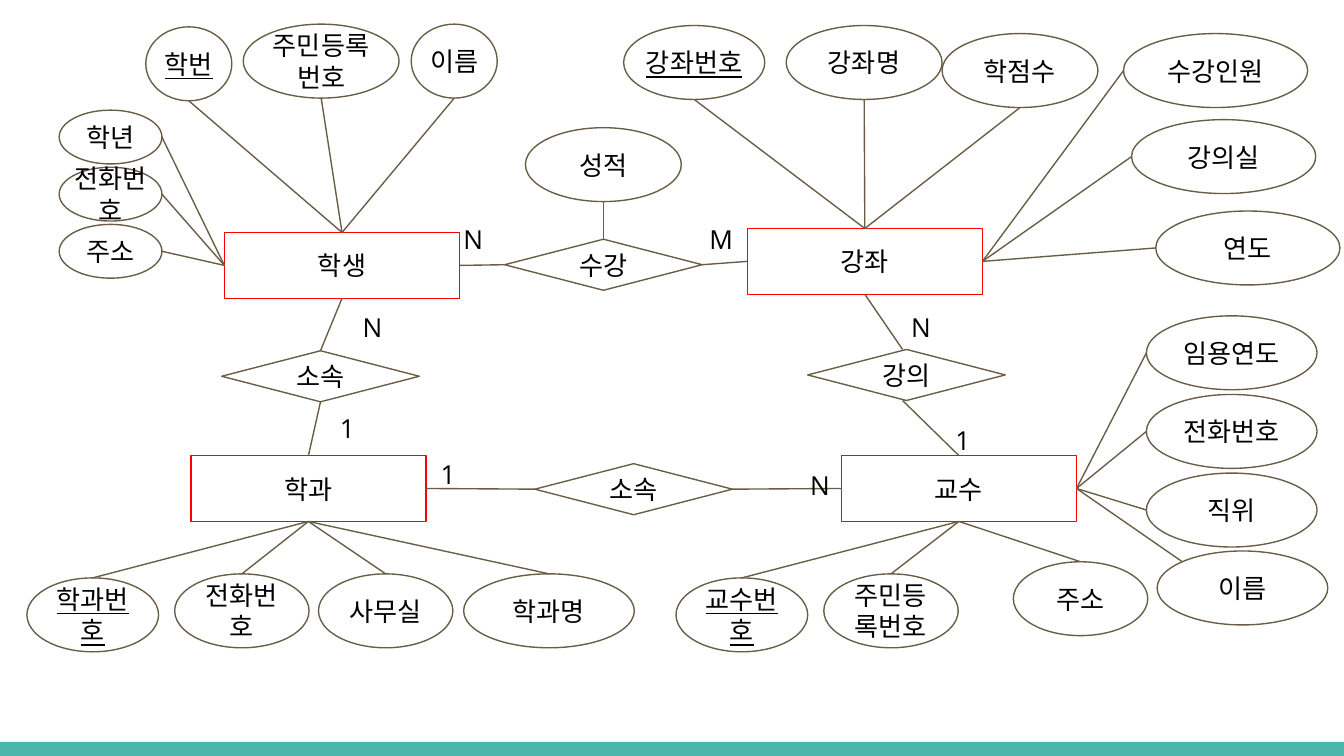
from pptx import Presentation
from pptx import util as u
from pptx.dml.color import RGBColor
from pptx.enum import shapes, text
from pptx.oxml.ns import qn
from lxml import etree

COLS, ROWS = 100, 56.25
SITES = {"top": (.5, 0), "left": (0, .5), "bottom": (.5, 1), "right": (1, .5),
         "corner": (.15, .15), "upper": (.48, 0), "lower": (.48, 1)}
KEYS = {"학번", "강좌번호", "교수번호", "학과번호"}


def color(hex_string):
    return RGBColor.from_string(hex_string)


class Diagram:
    """Entity-relationship style on a slide measured in columns and rows."""
    INK, PAPER, BROWN, RED, TEAL = "000000", "FFFFFF", "695D46", "FF0000", "4DB6AC"
    OVAL = shapes.MSO_SHAPE.OVAL
    BOX = shapes.MSO_SHAPE.RECTANGLE
    DIAMOND = shapes.MSO_SHAPE.DIAMOND

    def __init__(self, deck):
        self.slide = deck.slides.add_slide(deck.slide_layouts[6])
        self.cell = deck.slide_width / COLS

    def emu(self, *lengths):
        return [u.Emu(round(n * self.cell)) for n in lengths]

    def caption(self, shape, words, font, inset=0, key=False):
        frame = shape.text_frame
        frame.word_wrap = True
        frame.margin_left, frame.margin_top, frame.margin_right, frame.margin_bottom = \
            self.emu(*[inset] * 4)
        run = frame.paragraphs[0].add_run()
        run.text = words
        run.font.name, run.font.size = font, u.Pt(14)
        run.font.color.rgb = color(self.INK)
        if key:
            run.font.underline = True
        return frame

    def block(self, preset, box, fill, line=None):
        shape = self.slide.shapes.add_shape(preset, *self.emu(*box))
        shape.shadow.inherit = False
        shape.fill.solid()
        shape.fill.fore_color.rgb = color(fill)
        if line:
            shape.line.color.rgb = color(line)
            shape.line.width = u.Pt(.75)
        else:
            shape.line.fill.background()
        return shape

    def node(self, preset, name, box, line):
        shape = self.block(preset, box, self.PAPER, line)
        frame = self.caption(shape, name, "Arial", key=name in KEYS)
        frame.vertical_anchor = text.MSO_ANCHOR.MIDDLE
        frame.paragraphs[0].alignment = text.PP_ALIGN.CENTER
        return shape

    def entity(self, name, x, y):
        return self.node(self.BOX, name, (x, y, 17.5, 4.9), self.RED)

    def relation(self, name, x, y):
        return self.node(self.DIAMOND, name, (x, y, 14.7, 3.8), self.BROWN)

    def attribute(self, name, x, y, w, h=5.5):
        return self.node(self.OVAL, name, (x, y, w, h), self.BROWN)

    def link(self, start, start_site, end, end_site):
        points = []
        for shape, site in ((start, start_site), (end, end_site)):
            across, down = SITES[site]
            points += [round(shape.left + across * shape.width),
                       round(shape.top + down * shape.height)]
        line = self.slide.shapes.add_connector(shapes.MSO_CONNECTOR.STRAIGHT, *points)
        line.line.color.rgb = color(self.BROWN)
        line.line.width = u.Pt(.75)
        etree.SubElement(line._element.spPr, qn("a:effectLst"))

    def cardinality(self, mark, x, y):
        label = self.slide.shapes.add_textbox(*self.emu(x, y, 3.2, 3.2))
        self.caption(label, mark, "Open Sans", inset=1)


ENTITIES = {"학생": (16.7, 17.3), "교수": (62.6, 33.9), "강좌": (55.6, 17), "학과": (14.2, 33.9)}

# Owner, its side, the attribute's side, then name and box of each attribute
ATTRIBUTES = [
    ("학생", "top", "bottom", [("주민등록번호", 18.1, 1.8, 11.6), ("학번", 10.85, 2, 6.4),
                             ("이름", 30.6, 1.8, 6.4)]),
    ("학생", "left", "right", [(name, 4.4, 8.2 + 4.25 * i, 7.65, 4)
                             for i, name in enumerate(("학년", "전화번호", "주소"))]),
    ("교수", "bottom", "top", [("주민등록번호", 61.3, 42.7, 10), ("교수번호", 50.3, 43, 9.8),
                             ("주소", 75.4, 41.8, 10)]),
    ("교수", "right", "corner", [("이름", 86.1, 41, 12.7)]),
    ("교수", "right", "left", [(name, 85.3, 23.5 + 5.85 * i, 12.7)
                             for i, name in enumerate(("임용연도", "전화번호", "직위"))]),
    ("강좌", "top", "bottom", [("강좌명", 58.5, 1.9, 11.6), ("강좌번호", 46.4, 1.9, 10.5),
                             ("학점수", 70.1, 2.5, 11.6)]),
    ("강좌", "right", "left", [("수강인원", 83.6, 2.5, 13.7), ("강의실", 84.2, 8.9, 13.7),
                             ("연도", 86, 15.7, 13.7)]),
    ("학과", "bottom", "top", [("전화번호", 13, 42.7, 10), ("학과번호", 2, 43, 9.8),
                             ("사무실", 23.7, 42.7, 10), ("학과명", 34.5, 42.7, 12.7)]),
]

# Name, place, then for both ends: own side, entity, entity side
RELATIONS = [
    ("소속", 16.5, 26.1, [("top", "학생", "bottom"), ("bottom", "학과", "top")]),
    ("소속", 39.8, 34.5, [("left", "학과", "right"), ("right", "교수", "left")]),
    ("강의", 60.1, 26, [("upper", "강좌", "bottom"), ("lower", "교수", "top")]),
    ("수강", 37.55, 17.8, [("left", "학생", "right"), ("right", "강좌", "left")]),
]

CARDINALITIES = [("N", 26, 22.2), ("1", 24.3, 29.7), ("N", 59.3, 33.9), ("1", 31.8, 33.1),
                 ("N", 66.8, 22.2), ("1", 70.1, 30.6), ("N", 33.5, 15.6), ("M", 51.8, 15.6)]


def main():
    deck = Presentation()
    deck.slide_width, deck.slide_height = u.Inches(10), u.Inches(10 * ROWS / COLS)
    diagram = Diagram(deck)

    # Footer band
    diagram.block(diagram.BOX, (0, 55.2, COLS, ROWS - 55.2), diagram.TEAL)

    # Entities with their attributes
    entities = {name: diagram.entity(name, *place) for name, place in ENTITIES.items()}
    for owner, owner_side, side, members in ATTRIBUTES:
        for member in members:
            attribute = diagram.attribute(*member)
            diagram.link(attribute, side, entities[owner], owner_side)

    # Relations between entities
    for name, x, y, ends in RELATIONS:
        relation = diagram.relation(name, x, y)
        for side, partner, partner_side in ends:
            diagram.link(relation, side, entities[partner], partner_side)

    # Grade belongs to the enrolment relation, the last one drawn
    grade = diagram.attribute("성적", 39.1, 9.5, 11.6)
    diagram.link(grade, "bottom", relation, "top")

    # Cardinality marks
    for mark in CARDINALITIES:
        diagram.cardinality(*mark)

    deck.save("out.pptx")


if __name__ == "__main__":
    main()
